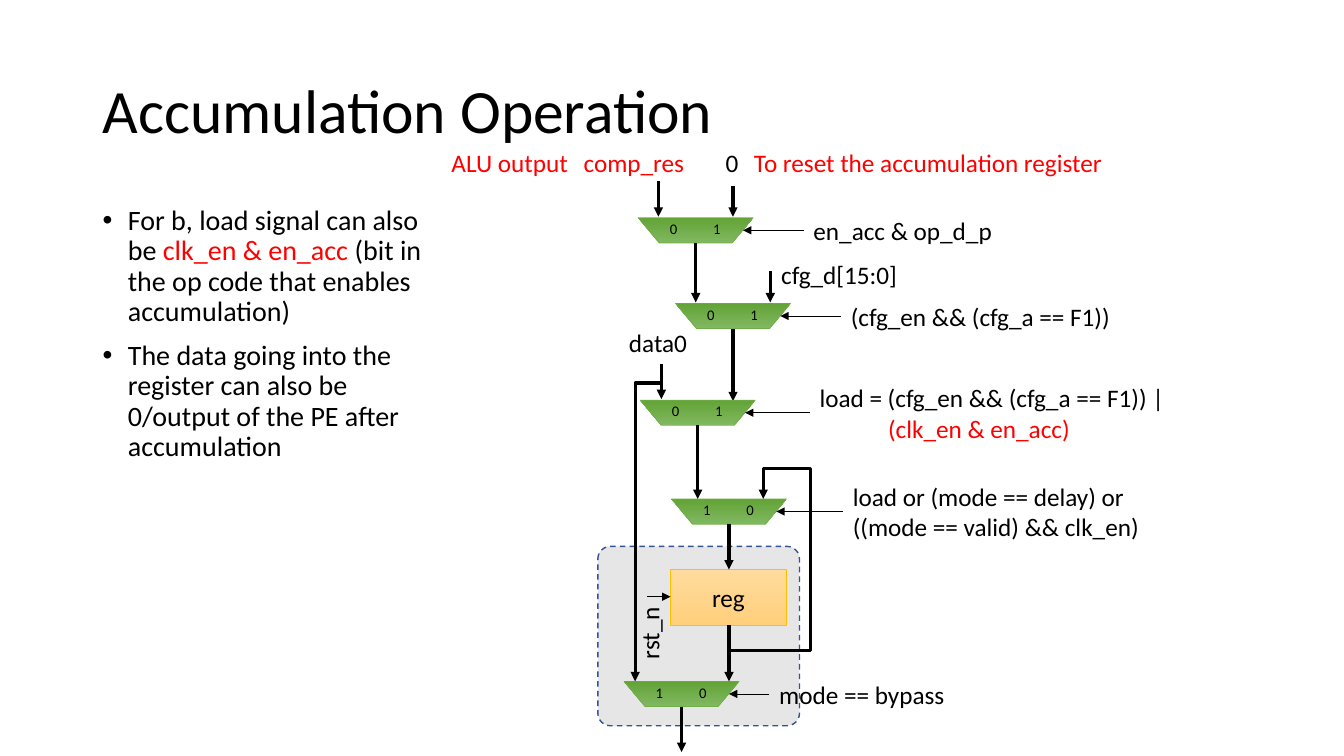
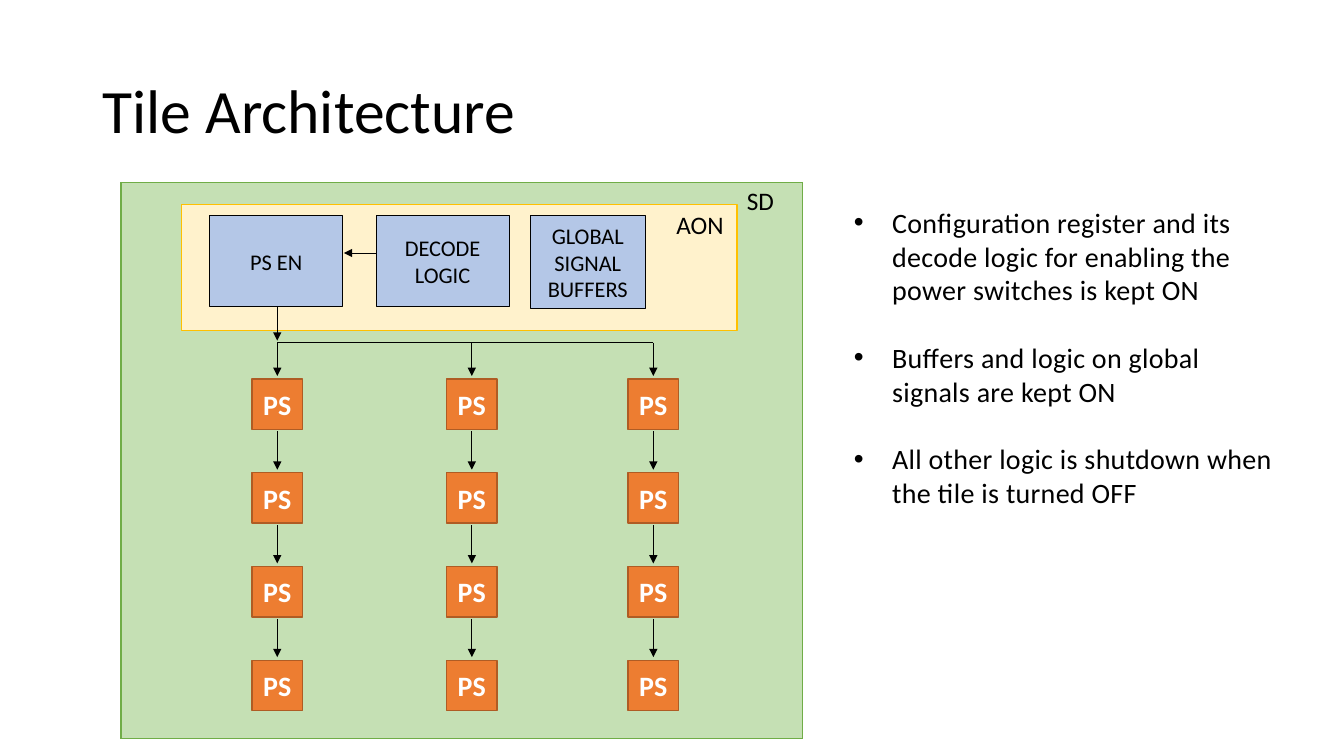
from dataclasses import dataclass

from lxml import etree
from pptx import Presentation
from pptx.dml.color import RGBColor
from pptx.enum.dml import MSO_LINE
from pptx.enum.shapes import MSO_CONNECTOR, MSO_SHAPE
from pptx.enum.text import MSO_ANCHOR, PP_ALIGN
from pptx.oxml.ns import qn
from pptx.util import Inches, Pt

RECTANGLE, ROUNDED, TRAPEZOID = MSO_SHAPE.RECTANGLE, MSO_SHAPE.ROUNDED_RECTANGLE, MSO_SHAPE.TRAPEZOID
STRAIGHT = MSO_CONNECTOR.STRAIGHT
LEFT, CENTER = PP_ALIGN.LEFT, PP_ALIGN.CENTER
TOP, MIDDLE = MSO_ANCHOR.TOP, MSO_ANCHOR.MIDDLE
DASH = MSO_LINE.DASH


@dataclass(frozen=True)
class Theme:
    font: str = "Calibri"
    black: str = "000000"
    white: str = "FFFFFF"
    red: str = "FF0000"
    gray: str = "E7E6E6"
    navy: str = "325491"
    green: str = "70AD47"
    pale_green: str = "C5E0B4"
    gold: str = "FFC000"
    cream: str = "FFF2CC"
    orange: str = "ED7D31"
    brown: str = "AF5C24"
    blue: str = "B4C7E7"
    mux_fill: tuple = ("81B861", "62A336")
    register_fill: tuple = ("FFDB9E", "FFD07C")
    title: float = 44
    body: float = 20
    label: float = 18
    block: float = 16
    digit: float = 10.5
    thin: float = 0.5
    medium: float = 1
    thick: float = 2.25


THEME = Theme()


def add_box(slide, at, paragraphs=(), kind=None, fill=None, line=None, size=THEME.label,
            color=THEME.black, align=LEFT, anchor=TOP):
    """Add a text box, or a preset shape if kind is given; a paragraph is a text or (text, color) runs."""
    place = [Inches(value) for value in at]
    if kind is None:
        shape = slide.shapes.add_textbox(*place)
    else:
        shape = slide.shapes.add_shape(kind, *place)
        shape.shadow.inherit = False
        if isinstance(fill, tuple):
            shape.fill.gradient()
            shape.fill.gradient_angle = 270
            for stop, stop_color in zip(shape.fill.gradient_stops, fill):
                stop.color.rgb = RGBColor.from_string(stop_color)
        else:
            shape.fill.solid()
            shape.fill.fore_color.rgb = RGBColor.from_string(fill)
        line_color, line_width = line
        shape.line.color.rgb = RGBColor.from_string(line_color)
        shape.line.width = Pt(line_width)
    frame = shape.text_frame
    frame.word_wrap = True
    frame.vertical_anchor = anchor
    for index, content in enumerate(paragraphs):
        paragraph = frame.add_paragraph() if index else frame.paragraphs[0]
        paragraph.alignment = align
        for text, run_color in [(content, color)] if isinstance(content, str) else content:
            run = paragraph.add_run()
            run.text = text
            run.font.name = THEME.font
            run.font.size = Pt(size)
            run.font.color.rgb = RGBColor.from_string(run_color)
    return shape


def add_wire(slide, points, width=THEME.thin, arrow=True):
    """Join the points by a connector, or by an open outline where the wire bends."""
    points = [(Inches(x), Inches(y)) for x, y in points]
    if len(points) == 2:
        wire = slide.shapes.add_connector(STRAIGHT, *points[0], *points[1])
    else:
        builder = slide.shapes.build_freeform(*points[0])
        builder.add_line_segments(points[1:], close=False)
        wire = builder.convert_to_shape()
        wire.fill.background()
    wire.line.color.rgb = RGBColor.from_string(THEME.black)
    wire.line.width = Pt(width)
    properties = wire._element.spPr
    if arrow:
        etree.SubElement(properties.find(qn("a:ln")), qn("a:tailEnd"), type="triangle")
    etree.SubElement(properties, qn("a:effectLst"))


presentation = Presentation()
presentation.slide_width = Inches(13.33)
presentation.slide_height = Inches(7.5)

# Titles and bullet lists: title, list place, indent, line spacing, gap, letter spacing, bullets
pages = [
    ("Accumulation Operation", (0.92, 2, 3.57, 4.76), 0.25, 0.9, 10, "0", [
        [("For b, load signal can also be ", THEME.black), ("clk_en & en_acc", THEME.red),
         (" (bit in the op code that enables accumulation)", THEME.black)],
        "The data going into the register can also be 0/output of the PE after accumulation",
    ]),
    ("Tile Architecture", (8.37, 1.99, 4.38, 3.2), 0.38, 1, 24.4, "20", [
        "Configuration register and its decode logic for enabling the power switches is kept ON",
        "Buffers and logic on global signals are kept ON",
        "All other logic is shutdown when the tile is turned OFF",
    ]),
]
slides = []
for title, place, indent, line_spacing, gap, letter_spacing, bullets in pages:
    slide = presentation.slides.add_slide(presentation.slide_layouts[6])
    slides.append(slide)
    heading = add_box(slide, (0.92, 0.4, 11.5, 1.45), [title], size=THEME.title, anchor=MIDDLE)
    heading.text_frame.paragraphs[0].line_spacing = 0.9
    body = add_box(slide, place, bullets, size=THEME.body)
    for index, paragraph in enumerate(body.text_frame.paragraphs):
        paragraph.line_spacing = line_spacing
        paragraph.space_before = Pt(gap if index else 0)
        properties = paragraph._p.get_or_add_pPr()
        properties.set("marL", str(Inches(indent)))
        properties.set("indent", str(-Inches(indent)))
        etree.SubElement(properties, qn("a:buFont"), typeface="Arial")
        etree.SubElement(properties, qn("a:buChar"), char="•")
        for run in paragraph.runs:
            run.font._element.set("spc", letter_spacing)
accumulation, tile = slides

# Accumulation: register inside its dashed frame
dashed_frame = add_box(accumulation, (5.93, 5.42, 2, 1.78), kind=ROUNDED, fill=THEME.gray,
                       line=(THEME.navy, THEME.medium))
dashed_frame.adjustments[0] = 0.07
dashed_frame.line.dash_style = DASH
add_box(accumulation, (6.65, 5.65, 1.15, 0.55), ["reg"], RECTANGLE, THEME.register_fill,
        (THEME.gold, THEME.thin), align=CENTER, anchor=MIDDLE)

# Accumulation: left, top, digits, end of output, control left, control width, control text
MUX_WIDTH, MUX_HEIGHT, CONTROL_HEIGHT = 1.14, 0.25, 0.71
multiplexers = [
    (6.33, 2.16, "01", 3, 7.97, 3, ["en_acc & op_d_p"]),
    (6.7, 3.01, "01", 3.98, 8.34, 3, ["(cfg_en && (cfg_a == F1))"]),
    (6.35, 3.97, "01", 4.95, 8.03, 4,
     ["load = (cfg_en && (cfg_a == F1)) |", [("(clk_en & en_acc)", THEME.red)]]),
    (6.66, 4.95, "10", 5.65, 8.36, 3.1, ["load or (mode == delay) or ((mode == valid) && clk_en)"]),
    (6.19, 6.76, "10", 7.46, 7.63, 3, ["mode == bypass"]),
]
for left, top, digits, output_end, control_left, control_width, control in multiplexers:
    mux = add_box(accumulation, (left, top, MUX_WIDTH, MUX_HEIGHT), kind=TRAPEZOID,
                  fill=THEME.mux_fill, line=(THEME.green, THEME.thin))
    mux.rotation = 180
    mux.adjustments[0] = 0.83
    for digit, offset in zip(digits, (0.35, 0.78)):
        add_box(accumulation, (left + offset - 0.2, top - 0.03, 0.4, 0.28), [digit],
                size=THEME.digit, align=CENTER)
    middle = top + MUX_HEIGHT / 2
    add_wire(accumulation, [(control_left, middle), (left + 1.04, middle)])
    control_box = add_box(
        accumulation, (control_left, middle - CONTROL_HEIGHT / 2, control_width, CONTROL_HEIGHT),
        control, anchor=MIDDLE)
    for paragraph in control_box.text_frame.paragraphs[1:]:
        paragraph._p.get_or_add_pPr().set("marL", str(Inches(0.68)))
    output_x = left + MUX_WIDTH / 2
    add_wire(accumulation, [(output_x, top + MUX_HEIGHT), (output_x, output_end)], THEME.thick)

# Accumulation: input, bypass and feedback wires
for points in [
    [(6.53, 1.8), (6.53, 2.15)],
    [(7.27, 1.85), (7.27, 2.15)],
    [(7.64, 2.69), (7.64, 3)],
    [(6.56, 3.61), (6.56, 3.96)],
    [(7.23, 6.2), (7.23, 6.76)],
    [(6.56, 3.8), (6.3, 3.8), (6.3, 6.76)],
    [(7.23, 6.45), (8.04, 6.45), (8.04, 4.65), (7.57, 4.65), (7.57, 4.95)],
]:
    add_wire(accumulation, points, THEME.thick)
add_wire(accumulation, [(6.42, 5.92), (6.65, 5.92)])

# Accumulation: signal names
for text, left, top, width, color in [
    ("ALU output", 4.38, 1.41, 1.5, THEME.red),
    ("comp_res", 5.69, 1.41, 1.4, THEME.red),
    ("0", 7.1, 1.41, 0.4, THEME.black),
    ("To reset the accumulation register", 7.38, 1.41, 4, THEME.red),
    ("cfg_d[15:0]", 7.65, 2.52, 1.6, THEME.black),
    ("data0", 6.14, 3.2, 1, THEME.black),
]:
    add_box(accumulation, (left, top, width, 0.4), [text], color=color)
reset_name = add_box(accumulation, (5.99, 6.08, 0.9, 0.4), ["rst_n"], align=CENTER)
reset_name.rotation = 270

# Tile: shutdown domain as a one-cell table
table = tile.shapes.add_table(1, 1, Inches(1.2), Inches(1.81), Inches(6.76), Inches(5.52)).table
table.first_row = False
table.horz_banding = False
cell = table.cell(0, 0)
cell.fill.solid()
cell.fill.fore_color.rgb = RGBColor.from_string(THEME.pale_green)
for index, side in enumerate(("a:lnL", "a:lnR", "a:lnT", "a:lnB")):
    border = etree.Element(qn(side), w=str(Pt(THEME.medium)))
    border_fill = etree.SubElement(border, qn("a:solidFill"))
    etree.SubElement(border_fill, qn("a:srgbClr"), val=THEME.green)
    cell._tc.get_or_add_tcPr().insert(index, border)

# Tile: always-on domain and its blocks
add_box(tile, (1.8, 2.03, 5.51, 1.25), kind=RECTANGLE, fill=THEME.cream,
        line=(THEME.gold, THEME.medium))
for text, left, width, height in [
    ("PS EN", 2.08, 1.32, 0.9),
    ("DECODE LOGIC", 3.73, 1.32, 0.9),
    ("GLOBAL SIGNAL BUFFERS", 5.26, 1.14, 0.92),
]:
    add_box(tile, (left, 2.14, width, height), [text], RECTANGLE, THEME.blue,
            (THEME.black, THEME.thin), THEME.block, align=CENTER, anchor=MIDDLE)
add_box(tile, (6.61, 2.03, 1.48, 0.4), ["AON"])
add_box(tile, (7.31, 1.79, 1.48, 0.4), ["SD"])
add_wire(tile, [(3.73, 2.51), (3.41, 2.51)])

# Tile: chains of power switches under a shared enable line
SWITCH, PITCH, FIRST_TOP, ROWS, BUS_Y = 0.5, 0.93, 3.76, 4, 3.4
columns = (2.75, 4.68, 6.48)
add_wire(tile, [(columns[0], 3.04), (columns[0], 3.38)])
add_wire(tile, [(columns[0], BUS_Y), (columns[-1], BUS_Y)], arrow=False)
for center in columns:
    for row in range(ROWS):
        top = FIRST_TOP + row * PITCH
        wire_start = top - PITCH + SWITCH + 0.02 if row else BUS_Y
        add_wire(tile, [(center, wire_start), (center, top - 0.03)])
        switch = add_box(tile, (center - SWITCH / 2, top, SWITCH, SWITCH), ["PS"], RECTANGLE,
                         THEME.orange, (THEME.brown, THEME.medium), THEME.body, THEME.white,
                         CENTER, MIDDLE)
        switch.text_frame.margin_left = switch.text_frame.margin_right = 0
        switch.text_frame.paragraphs[0].runs[0].font.bold = True

presentation.save("out.pptx")
